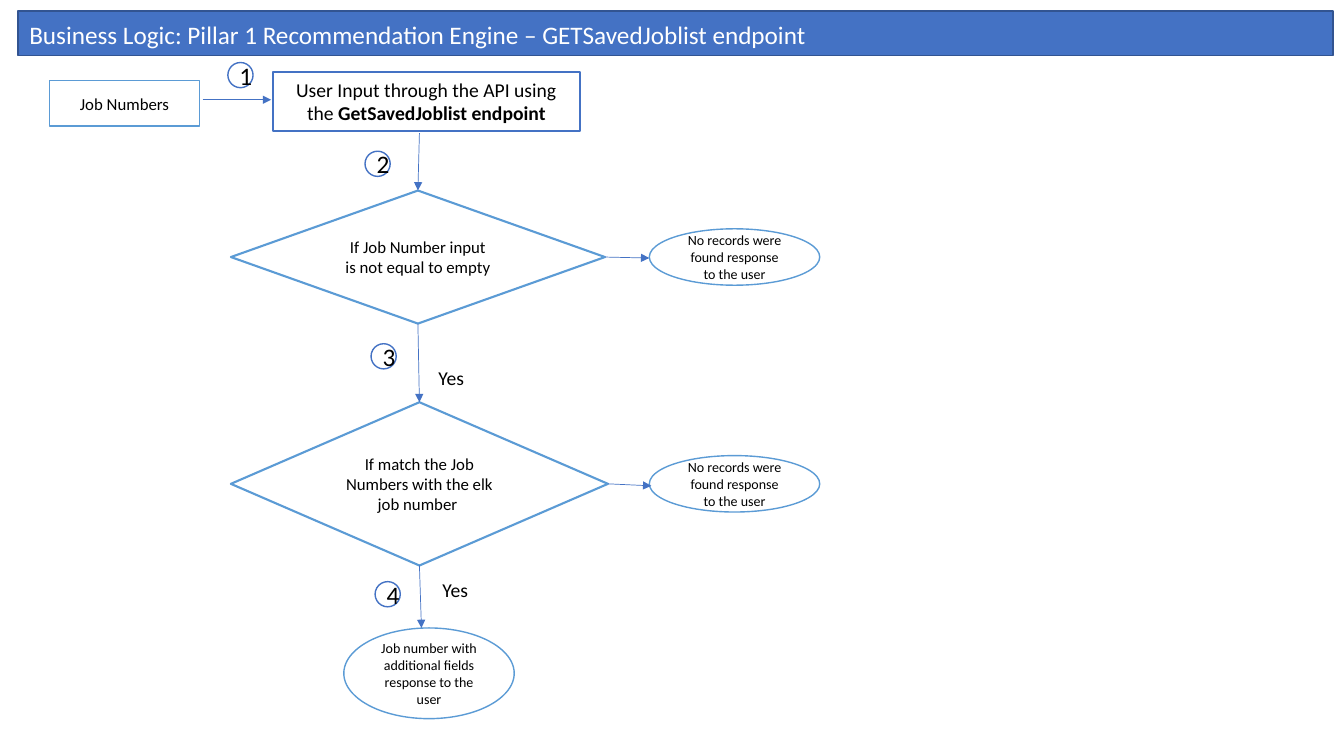
from lxml import etree
from pptx import Presentation
from pptx.dml.color import RGBColor
from pptx.enum.shapes import MSO_CONNECTOR, MSO_SHAPE
from pptx.enum.text import MSO_ANCHOR, MSO_AUTO_SIZE, PP_ALIGN
from pptx.oxml.ns import qn
from pptx.util import Inches, Pt

BLUE = RGBColor(0x44, 0x72, 0xC4)
SKY = RGBColor(0x5B, 0x9B, 0xD5)
NAVY = RGBColor(0x32, 0x54, 0x91)
WHITE = RGBColor(0xFF, 0xFF, 0xFF)
BLACK = RGBColor(0, 0, 0)
FONT = "Calibri"

SLIDE_SIZE = (13.33, 7.5)
TITLE = "Business Logic: Pillar 1 Recommendation Engine – GETSavedJoblist endpoint"
NO_RECORDS = [["No records were found response to the user"]]

# Left edges of the columns and tops of the rows, in inches
COLUMNS = {"source": 0.49, "request": 2.71, "check": 2.29, "result": 3.41, "exit": 6.44}
ROWS = {"source": 0.8, "request": 0.71, "empty": 1.89, "match": 3.99, "result": 6.23}

RECT, DIAMOND, OVAL = MSO_SHAPE.RECTANGLE, MSO_SHAPE.FLOWCHART_DECISION, MSO_SHAPE.OVAL
OVAL_WIDTH, EXIT_HEIGHT = 1.69, 0.56
BADGE = 0.25

# name: kind, column, row, width, height, line colour, line width, text size, paragraphs
# In a paragraph every second run is bold.
STEPS = {
    "request": (RECT, "request", "request", 3.04, 0.59, BLUE, 1.5, 14,
                [["User Input through the API using the ", "GetSavedJoblist endpoint"]]),
    "empty": (DIAMOND, "check", "empty", 3.71, 1.32, SKY, 1.5, 12,
              [["If Job Number input"], ["is not equal to empty"]]),
    "match": (DIAMOND, "check", "match", 3.74, 1.62, SKY, 1.5, 12,
              [["If match the Job Numbers with the elk job number "]]),
    "source": (RECT, "source", "source", 1.49, 0.45, SKY, 1, 12, [["Job Numbers"]]),
    "result": (OVAL, "result", "result", OVAL_WIDTH, 0.9, SKY, 1, 10,
               [["Job number with additional fields response to the user"]]),
}
BADGE_SPOTS = [(2.26, 0.62), (3.62, 1.5), (3.68, 3.41), (3.72, 5.77)]
YES_SPOTS = [(4.25, 3.58), (4.29, 5.68)]

# Each end is a point, or a step name with its side
TOP, BOTTOM, RIGHT = 0, 2, 3
ARROWS = [
    ((2.01, 0.99), (2.69, 0.99)),
    ((4.16, 1.32), ("empty", TOP)),
    (("empty", BOTTOM), ("match", TOP)),
    (("match", BOTTOM), (4.18, 6.23)),
    (("empty", RIGHT), (6.44, 2.56)),
    (("match", RIGHT), (6.46, 4.82)),
]


def write(frame, paragraphs, size, color=BLACK, align=PP_ALIGN.CENTER):
    frame.word_wrap = True
    for index, runs in enumerate(paragraphs):
        para = frame.add_paragraph() if index else frame.paragraphs[0]
        para.alignment = align
        for number, text in enumerate(runs):
            span = para.add_run()
            span.text = text
            span.font.name, span.font.size = FONT, Pt(size)
            span.font.bold = number % 2 == 1
            span.font.color.rgb = color


def add_box(page, kind, left, top, width, height, line, weight, fill=WHITE):
    box = page.shapes.add_shape(kind, *map(Inches, (left, top, width, height)))
    box.shadow.inherit = False
    box.fill.solid()
    box.fill.fore_color.rgb = fill
    box.line.color.rgb = line
    box.line.width = Pt(weight)
    box.text_frame.vertical_anchor = MSO_ANCHOR.MIDDLE
    return box


def add_title(page):
    bar = add_box(page, RECT, 0.18, 0.11, 13.04, 0.44, NAVY, 1, BLUE)
    title = page.shapes.title
    title.left, title.top, title.width, title.height = map(Inches, (0.19, 0.14, 8.07, 0.4))
    title.text_frame.vertical_anchor = MSO_ANCHOR.TOP
    title.text_frame.auto_size = MSO_AUTO_SIZE.NONE
    write(title.text_frame, [[TITLE]], 18, WHITE, PP_ALIGN.LEFT)
    bar.element.addnext(title.element)


def add_arrow(page, start, end, boxes):
    points = [(0, 0) if isinstance(tip[0], str) else tip for tip in (start, end)]
    arrow = page.shapes.add_connector(
        MSO_CONNECTOR.STRAIGHT, *(Inches(value) for point in points for value in point))
    for tip, connect in ((start, arrow.begin_connect), (end, arrow.end_connect)):
        if isinstance(tip[0], str):
            connect(boxes[tip[0]], tip[1])
    arrow.line.color.rgb = BLUE
    arrow.line.width = Pt(0.5)
    etree.SubElement(arrow.line._get_or_add_ln(), qn("a:tailEnd"), type="triangle")
    etree.SubElement(arrow.element.spPr, qn("a:effectLst"))


def main():
    deck = Presentation()
    deck.slide_width, deck.slide_height = map(Inches, SLIDE_SIZE)
    page = deck.slides.add_slide(deck.slide_layouts[5])
    add_title(page)

    boxes = {}
    for name, (kind, column, row, width, height, line, weight, size, text) in STEPS.items():
        boxes[name] = add_box(page, kind, COLUMNS[column], ROWS[row], width, height, line, weight)
        write(boxes[name].text_frame, text, size)

    for check in ("empty", "match"):
        middle = ROWS[check] + STEPS[check][4] / 2
        oval = add_box(page, OVAL, COLUMNS["exit"], middle - EXIT_HEIGHT / 2,
                       OVAL_WIDTH, EXIT_HEIGHT, SKY, 1)
        write(oval.text_frame, NO_RECORDS, 10)

    for number, (left, top) in enumerate(BADGE_SPOTS, 1):
        badge = add_box(page, OVAL, left, top, BADGE, BADGE, BLUE, 1)
        write(badge.text_frame, [[str(number)]], 18)

    for left, top in YES_SPOTS:
        label = page.shapes.add_textbox(*map(Inches, (left, top, 0.85, 0.34)))
        write(label.text_frame, [["Yes"]], 14, align=PP_ALIGN.LEFT)

    for start, end in ARROWS:
        add_arrow(page, start, end, boxes)
    deck.save("out.pptx")


if __name__ == "__main__":
    main()
